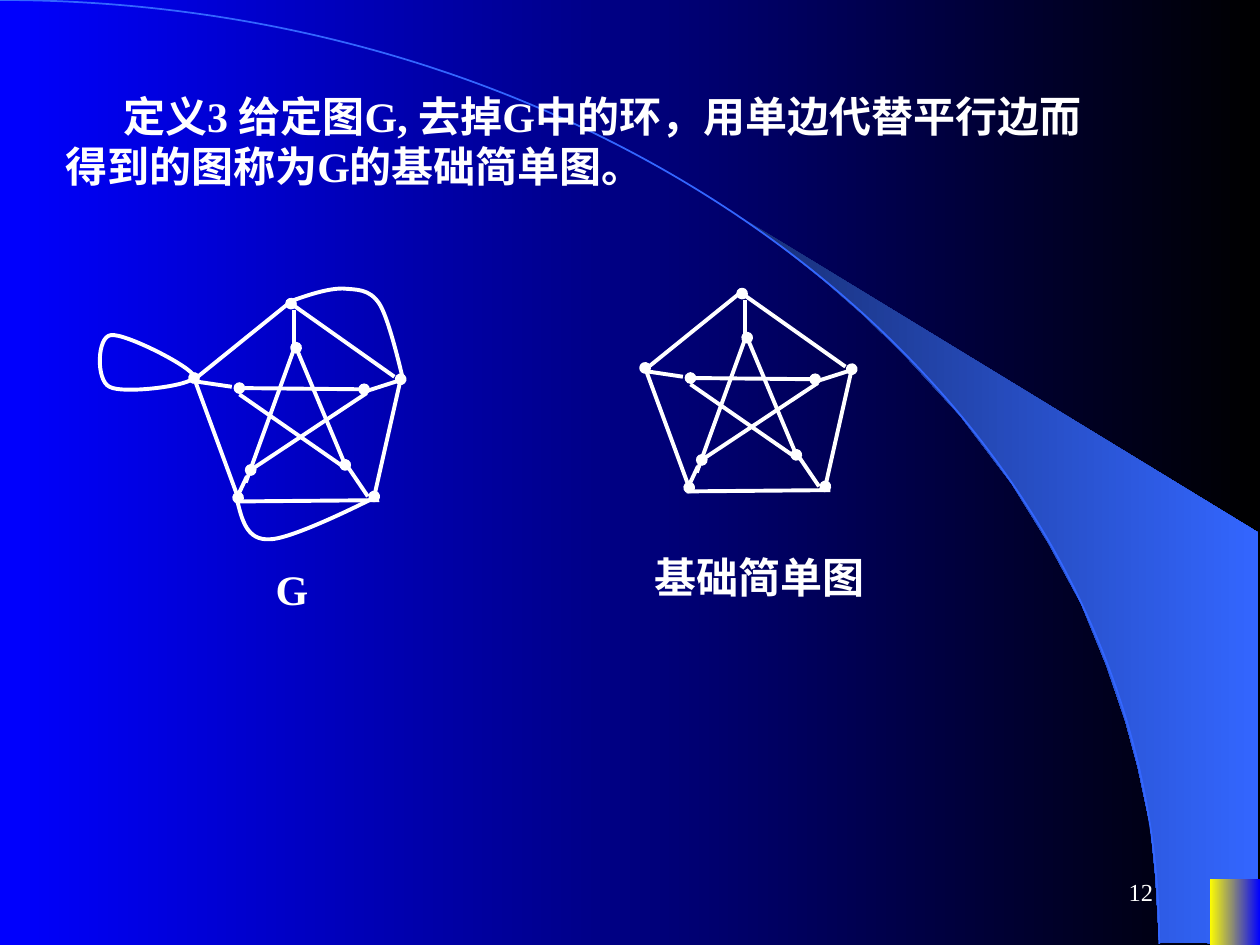
from lxml import etree
from pptx import Presentation
from pptx.dml.color import RGBColor
from pptx.enum.shapes import MSO_CONNECTOR, MSO_SHAPE
from pptx.enum.text import MSO_ANCHOR, MSO_AUTO_SIZE, PP_ALIGN
from pptx.oxml.ns import qn
from pptx.util import Inches, Pt

STRAIGHT = MSO_CONNECTOR.STRAIGHT
RECTANGLE = MSO_SHAPE.RECTANGLE
MIDDLE = MSO_ANCHOR.MIDDLE
GROW = MSO_AUTO_SIZE.SHAPE_TO_FIT_TEXT
LEFT, RIGHT = PP_ALIGN.LEFT, PP_ALIGN.RIGHT

FONT = "Times New Roman"
COLORS = {
    "white": "FFFFFF", "blue": "0000FF", "black": "000000",
    "navy": "182F76", "sky": "3366FF", "yellow": "FFFF00",
}
EDGE_WIDTH = 2.24

BAND = [
    (9.2, 7.48), (9.99, 7.49), (9.99, 4.23), (5.89, 1.73), (6.24, 1.99),
    (6.53, 2.22), (6.85, 2.5), (7.16, 2.8), (7.62, 3.3), (8.03, 3.84),
    (8.32, 4.31), (8.58, 4.79), (8.78, 5.28), (8.93, 5.72), (9.03, 6.09),
    (9.13, 6.56), (9.17, 6.96),
]
ARC = [(0, 0), (5.08, 0), (9.2, 3.35), (9.2, 7.49)]

# Each edge: start, end, and the ends that carry a vertex dot.
EDGES = [
    ((3.18, 3.01), (2.97, 3.94), ("headEnd", "tailEnd")),
    ((1.52, 3.03), (2.3, 2.4), ()),
    ((2.31, 2.41), (3.13, 2.99), ("headEnd",)),
    ((1.96, 3.78), (1.88, 3.95), ()),
    ((1.57, 3.03), (1.84, 3.07), ()),
    ((2.91, 3.12), (1.99, 3.73), ("tailEnd",)),
    ((2.89, 3.09), (1.9, 3.08), ("headEnd", "tailEnd")),
    ((2.35, 2.76), (2.74, 3.69), ("headEnd", "tailEnd")),
    ((1.9, 3.13), (2.72, 3.7), ()),
    ((2.33, 2.46), (2.33, 2.78), ()),
    ((2.33, 2.78), (1.95, 3.83), ()),
    ((1.54, 3), (1.89, 3.95), ("headEnd", "tailEnd")),
    ((1.87, 3.98), (3.01, 3.97), ()),
    ((3.17, 3.02), (2.92, 3.1), ()),
    ((2.75, 3.69), (2.92, 3.94), ()),
]
SIMPLE_GRAPH_OFFSET = (3.58, -0.08)

# Bezier control points of the loop and the two parallel edges of G.
LOOP = [(1.54, 2.99), (1.54, 3.06), (0.98, 3.13), (0.87, 3.07), (0.76, 3.02),
        (0.77, 2.67), (0.88, 2.66), (0.99, 2.64), (1.54, 2.92), (1.54, 2.99)]
UPPER_PARALLEL = [(2.31, 2.39), (2.45, 2.34), (2.6, 2.29), (2.72, 2.29),
                  (2.83, 2.3), (2.93, 2.29), (3.01, 2.41), (3.09, 2.53),
                  (3.2, 3.02), (3.2, 3.02)]
LOWER_PARALLEL = [(1.88, 3.96), (1.92, 4.13), (1.96, 4.29), (2.14, 4.28),
                  (2.33, 4.28), (2.99, 3.94), (2.99, 3.94)]


def rgb(name):
    """Return the named colour."""
    return RGBColor.from_string(COLORS[name])


def set_gradient(fill, start, end):
    """Apply a left-to-right gradient between two colours."""
    fill.gradient()
    fill.gradient_angle = 0
    for stop, name, position in zip(fill.gradient_stops, (start, end), (0, 1)):
        stop.color.rgb = rgb(name)
        stop.position = position


def set_line(line, color, width):
    """Set the colour and width of a line."""
    line.color.rgb = rgb(color)
    line.width = Pt(width)


def add_outline(s, points, close=False):
    """Add a freeform through the points, without fill."""
    scaled = [(Inches(x), Inches(y)) for x, y in points]
    builder = s.shapes.build_freeform(*scaled[0])
    builder.add_line_segments(scaled[1:], close=close)
    sp = builder.convert_to_shape()
    sp.shadow.inherit = False
    sp.fill.background()
    return sp


def add_curve(s, controls, color="white", width=EDGE_WIDTH, close=False):
    """Add a chain of cubic Bezier curves from its control points."""
    sp = add_outline(s, controls, close)
    set_line(sp.line, color, width)
    segments = list(sp._element.iter(qn("a:lnTo")))
    for i in range(0, len(controls) - 1, 3):
        bezier = etree.Element(qn("a:cubicBezTo"))
        segments[i].addprevious(bezier)
        for segment in segments[i:i + 3]:
            bezier.append(segment[0])
            segment.getparent().remove(segment)


def add_edge(s, start, end, dots):
    """Add a graph edge with round dots at the given ends."""
    edge = s.shapes.add_connector(STRAIGHT, *map(Inches, start + end))
    set_line(edge.line, "white", EDGE_WIDTH)
    ln = edge.line._get_or_add_ln()
    for tag in dots:
        etree.SubElement(ln, qn(f"a:{tag}"), type="oval")
    etree.SubElement(edge._element.spPr, qn("a:effectLst"))


def add_graph(s, dx=0, dy=0):
    """Add the pentagon-and-star graph, shifted by dx and dy."""
    for (x1, y1), (x2, y2), dots in EDGES:
        add_edge(s, (x1 + dx, y1 + dy), (x2 + dx, y2 + dy), dots)


def add_text(s, text, box, size=24, bold=True, align=LEFT, wrap=False):
    """Add a one-paragraph text box and return it."""
    sp = s.shapes.add_textbox(*map(Inches, box))
    tf = sp.text_frame
    tf.word_wrap = wrap
    tf.auto_size = GROW
    p = tf.paragraphs[0]
    p.text = text
    p.alignment = align
    font = p.runs[0].font
    font.name, font.size, font.bold = FONT, Pt(size), bold
    font.color.rgb = rgb("white")
    return sp


def add_backdrop(s):
    """Add the gradient background, the band, the arc and the corner block."""
    set_gradient(s.background.fill, "blue", "black")
    band = add_outline(s, BAND, close=True)
    set_gradient(band.fill, "navy", "sky")
    band.line.fill.background()
    add_curve(s, ARC, "sky", 0.99)
    block = s.shapes.add_shape(
        RECTANGLE, Inches(9.6), Inches(6.98), Inches(0.4), Inches(0.52))
    block.shadow.inherit = False
    set_gradient(block.fill, "yellow", "blue")
    block.line.fill.background()


def main():
    """Build and save the slide."""
    prs = Presentation()
    prs.slide_width, prs.slide_height = Inches(10), Inches(7.5)
    s = prs.slides.add_slide(prs.slide_layouts[6])
    add_backdrop(s)

    number = add_text(s, "12", (7.17, 6.83, 2.08, 0.5), 14, False, RIGHT, True)
    number.text_frame.auto_size = None
    number.text_frame.vertical_anchor = MIDDLE

    definition = add_text(
        s, "定义3 给定图G, 去掉G中的环，用单边代替平行边而得到的图称为G的基础简单图。",
        (0.42, 0.67, 8.5, 0.9), wrap=True)
    p = definition.text_frame.paragraphs[0]
    p.space_before = Pt(15)
    p._p.get_or_add_pPr().set("indent", str(Inches(0.46)))

    add_graph(s)
    add_graph(s, *SIMPLE_GRAPH_OFFSET)
    add_curve(s, LOOP, close=True)
    add_curve(s, UPPER_PARALLEL)
    add_curve(s, LOWER_PARALLEL)

    add_text(s, "G", (2.09, 4.42, 0.46, 0.5))
    add_text(s, "基础简单图", (5.1, 4.33, 1.9, 0.5))
    prs.save("out.pptx")


main()
